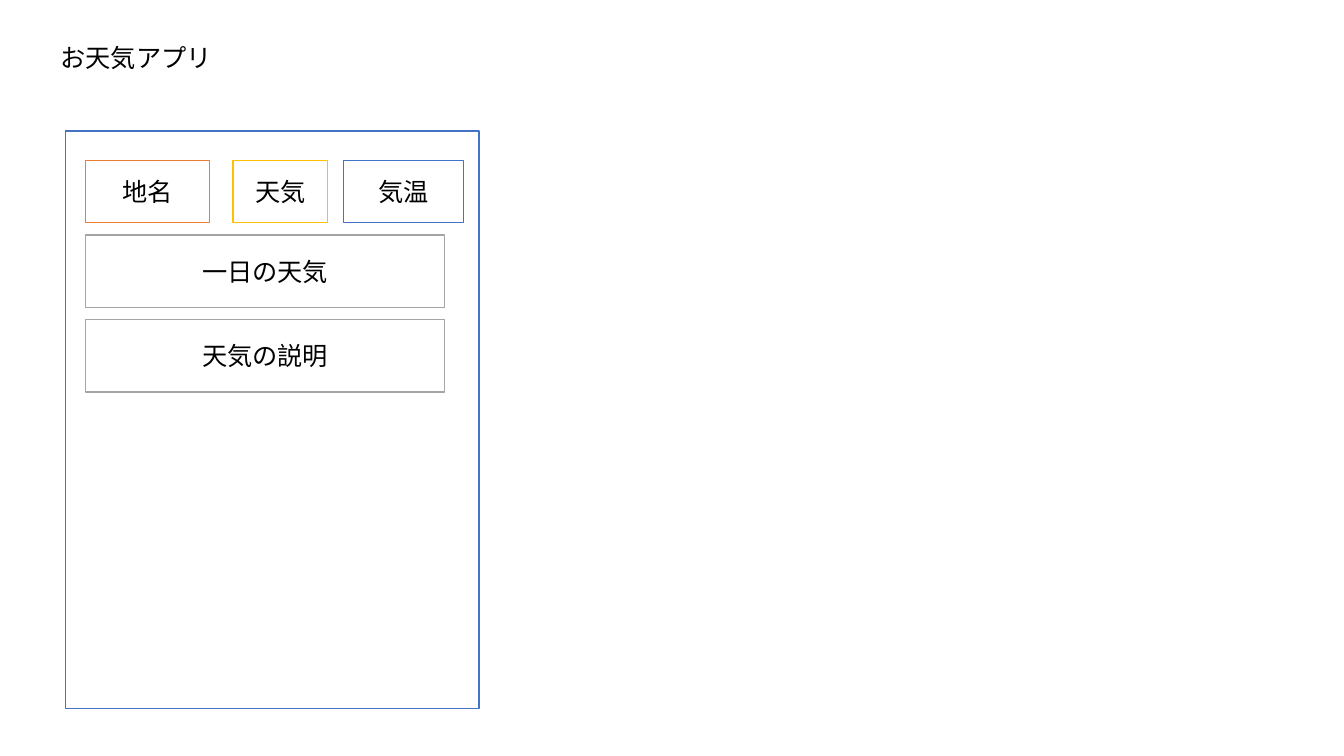
from dataclasses import dataclass

from lxml.etree import SubElement
from pptx import Presentation
from pptx.dml.color import RGBColor as Rgb
from pptx.enum.shapes import MSO_SHAPE as Shape
from pptx.enum.text import MSO_ANCHOR as Anchor, MSO_AUTO_SIZE as Fit, PP_ALIGN as Align
from pptx.oxml.ns import qn
from pptx.util import Inches, Pt


@dataclass(frozen=True)
class Theme:
    font: str = "Noto Sans CJK JP"
    size: int = 18
    line: int = 1
    ink: str = "000000"
    paper: str = "FFFFFF"
    blue: str = "4472C4"
    orange: str = "ED7D31"
    gold: str = "FFC000"
    gray: str = "A5A5A5"


THEME = Theme()


def write(frame, text, align, anchor):
    frame.text = text
    frame.word_wrap = True
    frame.vertical_anchor = anchor
    para = frame.paragraphs[0]
    para.alignment = align
    font = para.font
    font.size = Pt(THEME.size)
    font.color.rgb = Rgb.from_string(THEME.ink)
    font.name = THEME.font
    props = para._p.pPr.find(qn("a:defRPr"))
    SubElement(props, qn("a:ea")).set("typeface", THEME.font)


def add_box(slide, box, color, text=""):
    rect = slide.shapes.add_shape(Shape.RECTANGLE, *map(Inches, box))
    rect.shadow.inherit = False
    rect.fill.solid()
    rect.fill.fore_color.rgb = Rgb.from_string(THEME.paper)
    rect.line.color.rgb = Rgb.from_string(color)
    rect.line.width = Pt(THEME.line)
    if text:
        write(rect.text_frame, text, Align.CENTER, Anchor.MIDDLE)


def add_title(slide, box, text):
    title = slide.shapes.title
    title.left, title.top, title.width, title.height = map(Inches, box)
    write(title.text_frame, text, Align.LEFT, Anchor.TOP)
    title.text_frame.auto_size = Fit.SHAPE_TO_FIT_TEXT


def add_screen(slide, box):
    left, top, width, height = box
    add_box(slide, box, THEME.blue)
    tiles = [
        (0.2, 1.23, THEME.orange, "地名"),
        (1.66, 0.94, THEME.gold, "天気"),
        (2.76, 1.19, THEME.blue, "気温"),
    ]
    for shift, wide, color, text in tiles:
        add_box(slide, (left + shift, top + 0.29, wide, 0.62), color, text)
    for row, text in enumerate(["一日の天気", "天気の説明"]):
        place = (left + 0.2, top + 1.03 + row * 0.84, 3.56, 0.72)
        add_box(slide, place, THEME.gray, text)


def main():
    deck = Presentation()
    deck.slide_width, deck.slide_height = Inches(13.33), Inches(7.5)
    slide = deck.slides.add_slide(deck.slide_layouts[5])
    add_title(slide, (0.5, 0.37, 8.21, 0.4), "お天気アプリ")
    add_screen(slide, (0.65, 1.3, 4.1, 5.73))
    deck.save("out.pptx")


if __name__ == "__main__":
    main()
